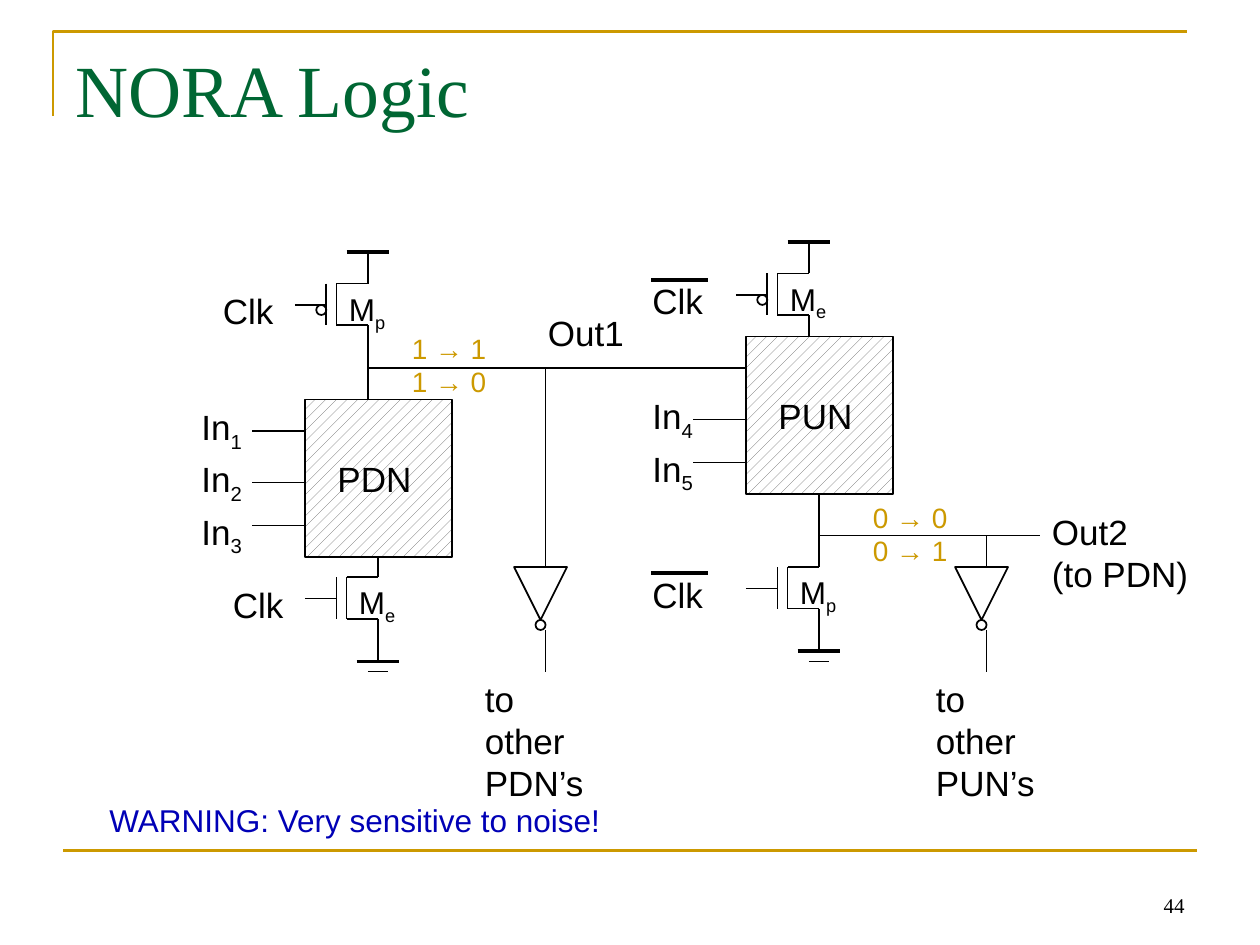
from pptx import Presentation
from pptx.dml.color import RGBColor
from pptx.enum.dml import MSO_PATTERN
from pptx.enum.shapes import MSO_CONNECTOR, MSO_SHAPE
from pptx.enum.text import MSO_ANCHOR, MSO_AUTO_SIZE, PP_ALIGN
from pptx.oxml.ns import qn
from pptx.util import Inches, Pt

STRAIGHT = MSO_CONNECTOR.STRAIGHT
RECT, OVAL, TRIANGLE = MSO_SHAPE.RECTANGLE, MSO_SHAPE.OVAL, MSO_SHAPE.ISOSCELES_TRIANGLE
HATCH = MSO_PATTERN.PERCENT_20
FIT, FIXED = MSO_AUTO_SIZE.SHAPE_TO_FIT_TEXT, MSO_AUTO_SIZE.NONE
TOP, BOTTOM = MSO_ANCHOR.TOP, MSO_ANCHOR.BOTTOM
LEFT, RIGHT = PP_ALIGN.LEFT, PP_ALIGN.RIGHT

BLACK, WHITE, GREY = "000000", "FFFFFF", "5F5F5F"
GOLD, GREEN, BLUE = "CC9900", "006633", "0000B6"
SANS, SERIF = "Arial", "Times New Roman"


def rgb(value):
    return RGBColor.from_string(value)


class Schematic:
    """Draws circuit parts on one slide; positions are in inches."""

    thin, thick, frame = 1, 2.25, 1.5

    def __init__(self, slide):
        self.shapes = slide.shapes

    def outline(self, sp, color=BLACK, width=thin):
        sp.line.color.rgb = rgb(color)
        sp.line.width = Pt(width)

    def line(self, x1, y1, x2, y2, color=BLACK, width=thin, parent=None):
        ends = [Inches(v) for v in (x1, y1, x2, y2)]
        cxn = (parent or self).shapes.add_connector(STRAIGHT, *ends)
        self.outline(cxn, color, width)
        cxn._element.spPr.append(cxn._element.makeelement(qn("a:effectLst"), {}))

    def shape(self, kind, x, y, w, h, parent=None):
        sp = (parent or self).shapes.add_shape(kind, *[Inches(v) for v in (x, y, w, h)])
        sp.shadow.inherit = False
        sp.fill.background()
        self.outline(sp)
        return sp

    def corner(self, points):
        """Open frame line through the given points."""
        (x, y), *rest = points
        fb = self.shapes.build_freeform(Inches(x), Inches(y))
        fb.add_line_segments([(Inches(a), Inches(b)) for a, b in rest], close=False)
        sp = fb.convert_to_shape()
        sp.shadow.inherit = False
        sp.fill.background()
        self.outline(sp, GOLD, self.frame)

    def text(self, x, y, w, h, lines, size=20, color=BLACK, font=SANS, align=LEFT, **frame):
        """Text box; an underscore in a line starts its subscript."""
        tf = self.shapes.add_textbox(*[Inches(v) for v in (x, y, w, h)]).text_frame
        settings = {"word_wrap": False, "auto_size": FIT, "vertical_anchor": TOP}
        for name, value in (settings | frame).items():
            setattr(tf, name, value)
        for i, line in enumerate(lines.split("\n")):
            p = tf.paragraphs[0] if i == 0 else tf.add_paragraph()
            p.alignment = align
            for k, part in enumerate(line.split("_")):
                r = p.add_run()
                r.text = part
                for name, value in {"size": Pt(size), "name": font}.items():
                    setattr(r.font, name, value)
                r.font.color.rgb = rgb(color)
                if k:
                    r._r.get_or_add_rPr().set("baseline", "-25000")

    def transistor(self, x, y, name, pmos=False):
        """Channel corner at (x, y), with drain and source leads on the right."""
        grp = self.shapes.add_group_shape()
        right, bottom, gate, mid = x + 0.25, y + 0.33, x - 0.08, y + 0.17
        for ends in [(x, y, right, y), (x, y, x, bottom), (x, bottom, right, bottom),
                     (gate, y, gate, bottom), (right, bottom, right, bottom + 0.25),
                     (gate - 0.25, mid, gate, mid), (right, y - 0.25, right, y)]:
            self.line(*ends, parent=grp)
        if pmos:
            self.shape(OVAL, gate - 0.08, mid, 0.08, 0.08, grp)
        self.text(x, y, 0.5, 0.4, name, 18)

    def supply(self, x, y):
        self.line(x - 0.17, y, x + 0.17, y, width=self.thick)

    def ground(self, x, y):
        grp = self.shapes.add_group_shape()
        self.line(x - 0.17, y, x + 0.17, y, width=self.thick, parent=grp)
        self.line(x - 0.08, y + 0.08, x + 0.08, y + 0.08, parent=grp)
        self.line(x, y - 0.25, x, y, parent=grp)

    def network(self, x, y, name, input_offsets):
        sp = self.shape(RECT, x, y, 1.17, 1.25)
        sp.fill.patterned()
        sp.fill.pattern = HATCH
        sp.fill.fore_color.rgb = rgb(GREY)
        sp.fill.back_color.rgb = rgb(WHITE)
        for dy in input_offsets:
            self.line(x - 0.42, y + dy, x, y + dy)
        self.text(x + 0.16, y + 0.41, 0.79, 0.43, name)

    def inverter(self, x, wire_top, label_x, label):
        """Inverter at x, fed by a wire starting at wire_top."""
        grp = self.shapes.add_group_shape()
        self.shape(TRIANGLE, x, 4.5, 0.42, 0.42, grp).rotation = 180
        self.shape(OVAL, x + 0.17, 4.92, 0.08, 0.08, grp)
        self.line(x + 0.25, wire_top, x + 0.25, 4.5)
        self.line(x + 0.25, 5, x + 0.25, 5.33)
        self.text(label_x, 5.33, 1.14, 0.77, label)

    def clock(self, x, y, inverted=False):
        self.text(x, y, 0.6, 0.43, "Clk")
        if inverted:
            self.line(x + 0.09, y + 0.05, x + 0.54, y + 0.05, width=self.thick)


def main():
    prs = Presentation()
    prs.slide_width, prs.slide_height = Inches(10), Inches(7.5)
    s = Schematic(prs.slides.add_slide(prs.slide_layouts[6]))

    s.corner([(0.42, 0.92), (0.42, 0.25), (9.42, 0.25)])
    s.line(0.5, 6.75, 9.5, 6.75, GOLD, s.frame)
    s.text(0.5, 0.3, 9, 1.25, "NORA Logic", 42, GREEN, SERIF, word_wrap=True, auto_size=FIXED)

    # Pull-down stage
    s.transistor(2.75, 4.58, "M_e")
    s.transistor(2.67, 2.25, "M_p", pmos=True)
    s.ground(3, 5.25)
    s.supply(2.92, 2)
    s.network(2.42, 3.17, "PDN", [0.25, 0.66, 1])
    s.line(2.92, 2.75, 2.92, 3.17)
    s.clock(1.75, 4.58)
    s.clock(1.67, 2.25)

    # Pull-up stage
    s.transistor(6.25, 4.5, "M_p")
    s.transistor(6.17, 2.17, "M_e", pmos=True)
    s.ground(6.5, 5.17)
    s.supply(6.42, 1.92)
    s.network(5.92, 2.67, "PUN", [0.25, 0.66, 1])
    s.line(6.5, 3.92, 6.5, 4.25)
    s.clock(5.08, 4.5, inverted=True)
    s.clock(5.08, 2.17, inverted=True)

    inputs = [(1.5, 3.17), (1.5, 3.58), (1.5, 4), (5.08, 3.08), (5.08, 3.5)]
    for i, (x, y) in enumerate(inputs, 1):
        s.text(x, y, 0.53, 0.43, f"In_{i}")

    # Outputs
    s.line(2.92, 2.92, 5.58, 2.92)
    s.line(6.5, 4.25, 8.25, 4.25)
    s.text(4.25, 2.42, 0.8, 0.43, "Out1")
    s.text(8.25, 4, 1.28, 0.77, "Out2\n(to PDN)")
    s.text(3.17, 2.58, 0.79, 0.64, "1 → 1\n1 → 0", 16, GOLD)
    s.text(6.83, 3.92, 0.79, 0.64, "0 → 0\n0 → 1", 16, GOLD)
    s.inverter(4.08, 2.92, 3.75, "to other\nPDN’s")
    s.inverter(7.58, 4.25, 7.33, "to other\nPUN’s")

    s.text(0.77, 6.31, 4.12, 0.4, "WARNING: Very sensitive to noise!", 18, BLUE)
    s.text(7.17, 6.83, 2.33, 0.5, "44", 12, BLACK, SERIF, RIGHT,
           word_wrap=True, auto_size=FIXED, vertical_anchor=BOTTOM)
    prs.save("out.pptx")


if __name__ == "__main__":
    main()
